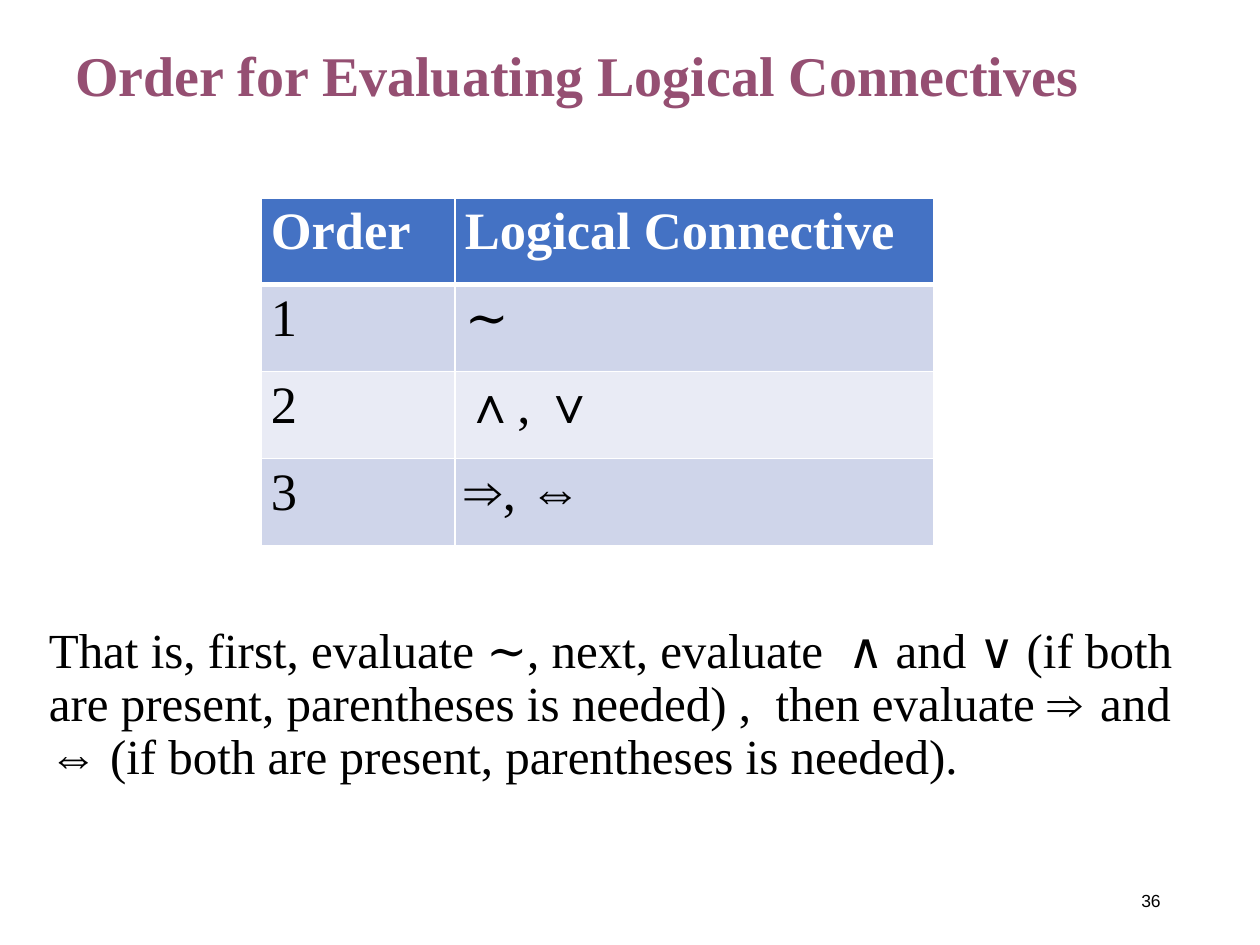
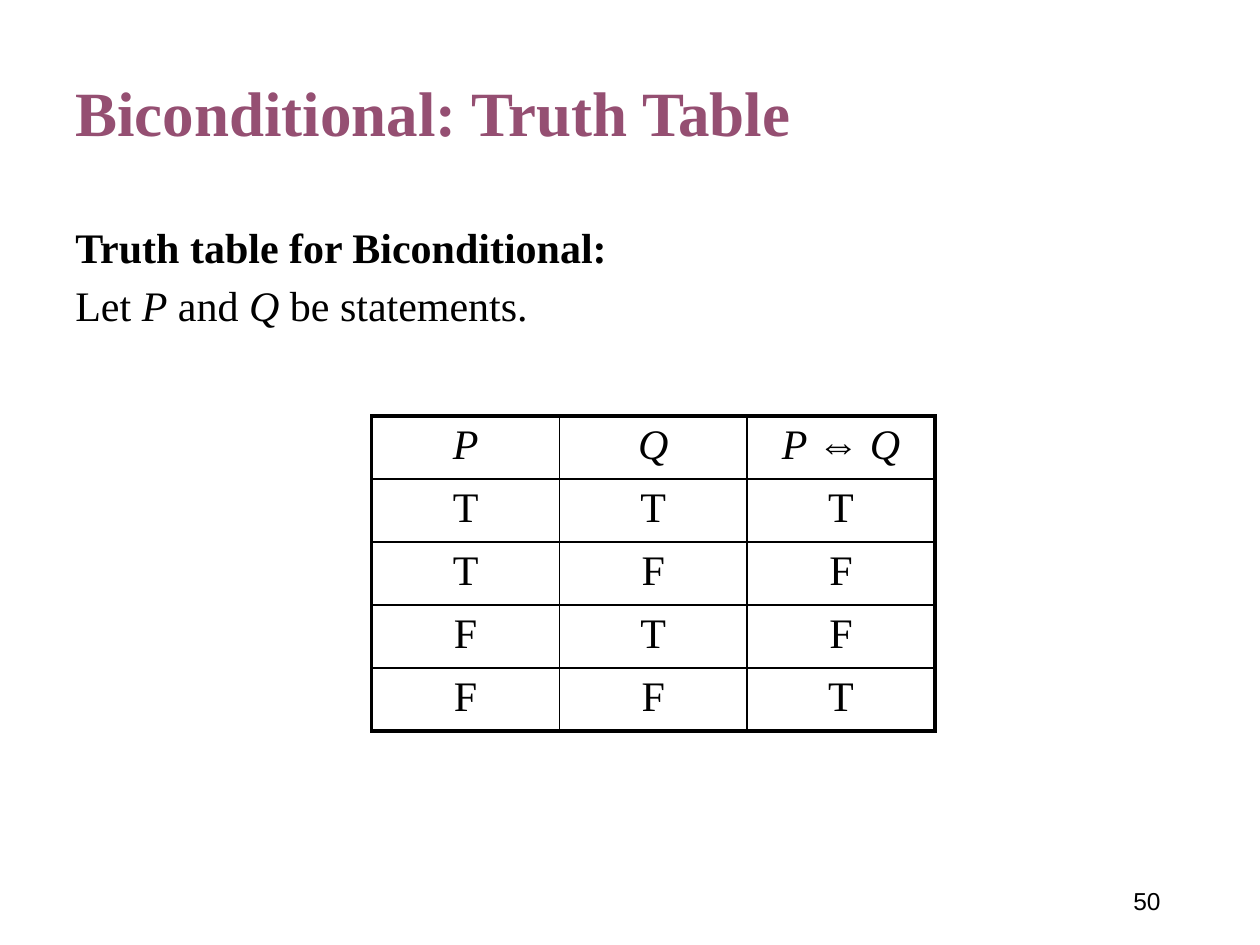
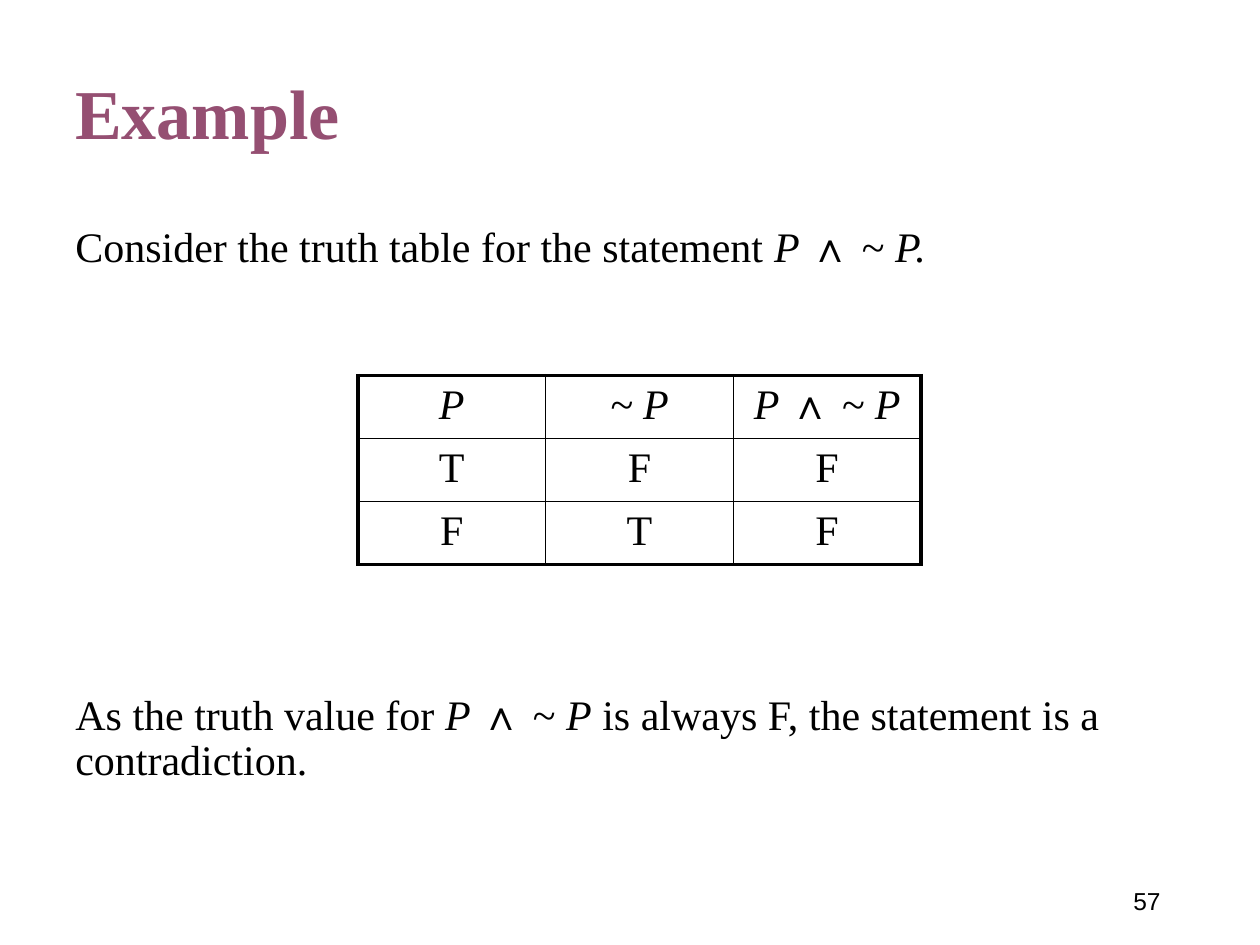
from dataclasses import dataclass
from lxml.etree import SubElement
from pptx import Presentation
from pptx.dml.color import RGBColor
from pptx.enum.text import MSO_ANCHOR, PP_ALIGN
from pptx.oxml.ns import qn
from pptx.util import Inches, Pt


@dataclass(frozen=True)
class Theme:
    serif: str = "Times New Roman"
    sans: str = "Arial"
    title: str = "954F72"
    ink: str = "000000"
    white: str = "FFFFFF"
    header: str = "4472C4"
    bands: tuple = ("CFD5EA", "E9EBF5")
    body_size: int = 24
    statement_size: int = 28
    order_size: int = 30
    thin: float = 1
    medium: float = 2.25
    thick: float = 3


theme = Theme()


def write(frame, paragraphs, size, color=theme.ink, font=theme.serif,
          bold_lines=(), align=PP_ALIGN.LEFT, spacing=None):
    """Asterisks enclose italic words."""
    frame.word_wrap = True
    for number, text in enumerate(paragraphs):
        paragraph = frame.add_paragraph() if number else frame.paragraphs[0]
        paragraph.alignment = align
        paragraph.line_spacing = spacing
        if number:
            paragraph.space_before = Pt(7.5)
        for part, words in enumerate(text.split("*")):
            if not words:
                continue
            run = paragraph.add_run()
            run.text = words
            run.font.name = font
            run.font.size = Pt(size)
            run.font.color.rgb = RGBColor.from_string(color)
            run.font.bold = number in bold_lines
            run.font.italic = part % 2 == 1


def draw_borders(cell, color, widths):
    properties = cell._tc.get_or_add_tcPr()
    for position, (side, width) in enumerate(zip("LRTB", widths)):
        line = properties.makeelement(qn(f"a:ln{side}"), {"w": str(Pt(width))})
        fill = SubElement(line, qn("a:solidFill"))
        SubElement(fill, qn("a:srgbClr"), val=color)
        properties.insert(position, line)


presentation = Presentation()
presentation.slide_width = Inches(10)
presentation.slide_height = Inches(7.5)

lessons = [
    dict(
        title="Order for Evaluating Logical Connectives", title_size=32,
        title_top=0.15, title_height=0.94, page="36", page_size=10,
        statements=[
            (0.29, 4.92, 9.34, 1.51, theme.statement_size, (), [
                "That is, first, evaluate ∼, next, evaluate  ∧ and ∨ (if both are present, "
                "parentheses is needed) ,  then evaluate ⇒ and ⇔ (if both are present, "
                "parentheses is needed)."]),
        ],
        table_left=2.07, table_top=1.57, columns=(1.54, 3.8), row_height=0.69,
        banded=True,
        rows=[("Order", "Logical Connective"), ("1", "∼"), ("2", "∧, ∨"), ("3", "⇒, ⇔")],
    ),
    dict(
        title="Biconditional: Truth Table", title_size=36,
        title_top=0.3, title_height=1.25, page="50", page_size=14,
        statements=[
            (0.5, 1.75, 8.97, 4.95, theme.body_size, (0,), [
                "Truth table for Biconditional:", "Let *P* and *Q *be statements."]),
        ],
        table_left=2.95, table_top=3.3, columns=(1.49,) * 3, row_height=0.5,
        banded=False,
        rows=[("*P*", "*Q*", "*P *⇔ *Q*"), "TTT", "TFF", "FTF", "FFT"],
    ),
    dict(
        title="Example", title_size=40,
        title_top=0.3, title_height=1.25, page="57", page_size=14,
        statements=[
            (0.5, 1.75, 8.97, 0.5, theme.body_size, (), [
                "Consider the truth table for the statement *P *∧ ~ *P.*"]),
            (0.5, 5.46, 8.97, 1.24, theme.body_size, (), [
                "As the truth value for *P *∧ ~ *P* is always F, "
                "the statement is a contradiction."]),
        ],
        table_left=2.84, table_top=2.98, columns=(1.49,) * 3, row_height=0.5,
        banded=False,
        rows=[("*P*", "*~ P*", "*P *∧ *~ P*"), "TFF", "FTF"],
    ),
]

for lesson in lessons:
    slide = presentation.slides.add_slide(presentation.slide_layouts[6])

    title = slide.shapes.add_textbox(
        Inches(0.5), Inches(lesson["title_top"]), Inches(9), Inches(lesson["title_height"]))
    title.text_frame.vertical_anchor = MSO_ANCHOR.MIDDLE
    write(title.text_frame, [lesson["title"]], lesson["title_size"], theme.title,
          bold_lines=(0,), spacing=0.9)

    for left, top, width, height, size, bold_lines, paragraphs in lesson["statements"]:
        statement = slide.shapes.add_textbox(
            Inches(left), Inches(top), Inches(width), Inches(height))
        write(statement.text_frame, paragraphs, size, bold_lines=bold_lines, spacing=0.9)

    rows, columns, banded = lesson["rows"], lesson["columns"], lesson["banded"]
    table = slide.shapes.add_table(
        len(rows), len(columns), Inches(lesson["table_left"]), Inches(lesson["table_top"]),
        Inches(sum(columns)), Inches(lesson["row_height"] * len(rows))).table
    table.first_row = banded
    table.horz_banding = banded
    for column, width in zip(table.columns, columns):
        column.width = Inches(width)
    for row_number, values in enumerate(rows):
        table.rows[row_number].height = Inches(lesson["row_height"])
        for column_number, value in enumerate(values):
            cell = table.cell(row_number, column_number)
            is_header = row_number == 0
            if banded:
                cell.margin_left = cell.margin_right = Inches(0.08)
                cell.margin_top = cell.margin_bottom = Inches(0.04)
                cell.fill.solid()
                band = theme.header if is_header else theme.bands[(row_number - 1) % 2]
                cell.fill.fore_color.rgb = RGBColor.from_string(band)
                write(cell.text_frame, [value], theme.order_size,
                      theme.white if is_header else theme.ink,
                      bold_lines=(0,) if is_header else ())
                top_width = theme.thick if row_number == 1 else theme.thin
                bottom_width = theme.thick if is_header else theme.thin
                draw_borders(cell, theme.white,
                             (theme.thin, theme.thin, top_width, bottom_width))
            else:
                cell.fill.background()
                write(cell.text_frame, [value], theme.body_size, align=PP_ALIGN.CENTER)
                outer_edges = (column_number == 0, column_number == len(columns) - 1,
                               is_header, row_number == len(rows) - 1)
                draw_borders(cell, theme.ink,
                             [theme.medium if outer else theme.thin for outer in outer_edges])

    page = slide.shapes.add_textbox(Inches(7.06), Inches(6.95), Inches(2.25), Inches(0.4))
    page.text_frame.vertical_anchor = MSO_ANCHOR.MIDDLE
    write(page.text_frame, [lesson["page"]], lesson["page_size"], font=theme.sans,
          align=PP_ALIGN.RIGHT)

presentation.save("out.pptx")
